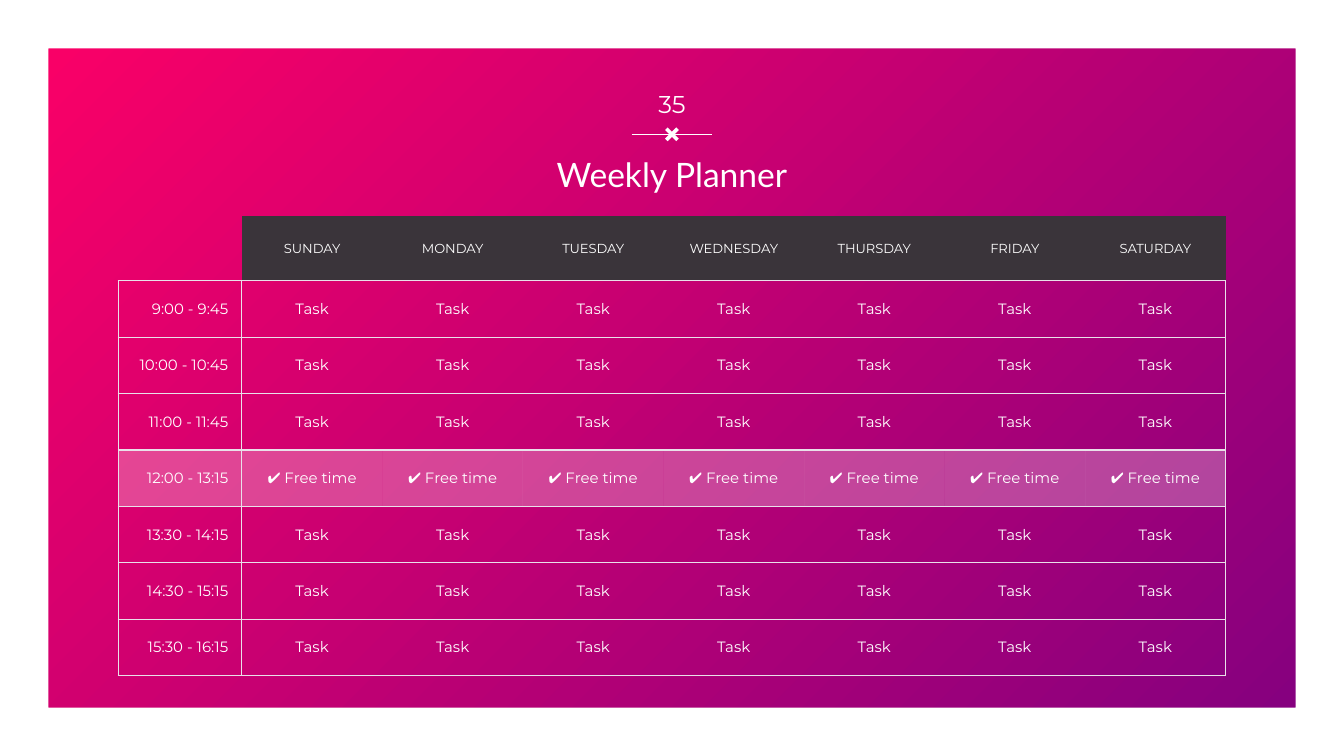
"""Build a weekly planner slide with a timetable on a gradient background."""
from dataclasses import dataclass

from lxml import etree
from pptx import Presentation
from pptx import util as u
from pptx.dml import color
from pptx.enum import shapes, text
from pptx.oxml import ns

WHITE, RULE, HEADER = "FFFFFF", "E9E0E9", "3A343A"
NO_STYLE = "{2D5ABB26-0587-4C30-8999-92F81FD0307C}"
DAYS = ["SUNDAY", "MONDAY", "TUESDAY", "WEDNESDAY", "THURSDAY", "FRIDAY", "SATURDAY"]
SLIDE_WIDTH = 10
SLIDE_HEIGHT = SLIDE_WIDTH * 9 / 16
TIME_WIDTH, DAYS_WIDTH = 0.92, 7.32
HEADER_HEIGHT, SLOT_HEIGHT = 0.48, 0.42


@dataclass
class Slot:
    hours: str
    activity: str = "Task"
    free: bool = False


@dataclass
class Ornament:
    preset: shapes.MSO_SHAPE
    box: tuple[float, float, float, float]
    adjustment: float


SLOTS = [
    Slot("9:00 - 9:45"),
    Slot("10:00 - 10:45"),
    Slot("11:00 - 11:45"),
    Slot("12:00 - 13:15", "✔ Free time", True),
    Slot("13:30 - 14:15"),
    Slot("14:30 - 15:15"),
    Slot("15:30 - 16:15"),
]
BORDER = Ornament(shapes.MSO_SHAPE.FRAME, (0, 0, SLIDE_WIDTH, SLIDE_HEIGHT),
                  0.36 / SLIDE_HEIGHT)
CROSS = Ornament(shapes.MSO_SHAPE.MATH_MULTIPLY, (4.92, 0.92, 0.16, 0.16), 0.17)


def rgb(value: str) -> color.RGBColor:
    return color.RGBColor.from_string(value)


def apply(target, formats: dict) -> None:
    for name, value in formats.items():
        setattr(target, name, value)


def anchor_text(target) -> None:
    sides = ("left", "right", "top", "bottom")
    apply(target, {f"margin_{side}": u.Inches(0.1) for side in sides})
    target.vertical_anchor = text.MSO_ANCHOR.MIDDLE


def write(frame, words: str, size: float, font: str = "Montserrat",
          align=text.PP_ALIGN.CENTER) -> None:
    paragraph = frame.paragraphs[0]
    paragraph.alignment = align
    run = paragraph.add_run()
    run.text = words
    apply(run.font, {"size": u.Pt(size), "name": font, "bold": False})
    run.font.color.rgb = rgb(WHITE)


def place_text(shape, box: tuple, words: str, size: float, font: str) -> None:
    apply(shape, dict(zip(("left", "top", "width", "height"), map(u.Inches, box))))
    apply(shape.text_frame, {"word_wrap": True, "auto_size": text.MSO_AUTO_SIZE.NONE})
    anchor_text(shape.text_frame)
    write(shape.text_frame, words, size, font)


def draw_ornament(slide, ornament: Ornament) -> None:
    shape = slide.shapes.add_shape(ornament.preset, *map(u.Inches, ornament.box))
    shape.adjustments[0] = ornament.adjustment
    shape.shadow.inherit = False
    shape.fill.solid()
    shape.fill.fore_color.rgb = rgb(WHITE)
    shape.line.fill.background()


def draw_divider(slide) -> None:
    divider = slide.shapes.add_connector(
        shapes.MSO_CONNECTOR.STRAIGHT, *map(u.Inches, (4.7, 1, 5.3, 1)))
    divider.line.color.rgb = rgb(WHITE)
    divider.line.width = u.Pt(0.75)
    etree.SubElement(divider._element.spPr, ns.qn("a:effectLst"))


def set_borders(cell, sides: str) -> None:
    properties = cell._tc.get_or_add_tcPr()
    for side in "LRTB":
        border = etree.SubElement(properties, ns.qn(f"a:ln{side}"), w=str(u.Pt(0.75)))
        if side in sides:
            fill = etree.SubElement(border, ns.qn("a:solidFill"))
            etree.SubElement(fill, ns.qn("a:srgbClr"), val=RULE)
        else:
            etree.SubElement(border, ns.qn("a:noFill"))


def format_cell(cell, sides: str, fill: str = "", opacity: int = 100) -> None:
    anchor_text(cell)
    set_borders(cell, sides)
    if not fill:
        cell.fill.background()
        return
    cell.fill.solid()
    cell.fill.fore_color.rgb = rgb(fill)
    if opacity < 100:
        tint = cell._tc.tcPr.find(ns.qn("a:solidFill"))[0]
        etree.SubElement(tint, ns.qn("a:alpha"), val=str(opacity * 1000))


def draw_planner(slide) -> None:
    planner = slide.shapes.add_table(
        len(SLOTS) + 1, len(DAYS) + 1, u.Inches(0.88), u.Inches(1.61),
        u.Inches(TIME_WIDTH + DAYS_WIDTH),
        u.Inches(HEADER_HEIGHT + SLOT_HEIGHT * len(SLOTS))).table
    apply(planner, {"first_row": False, "horz_banding": False})
    planner._tbl.tblPr.find(ns.qn("a:tableStyleId")).text = NO_STYLE
    widths = [TIME_WIDTH] + [DAYS_WIDTH / len(DAYS)] * len(DAYS)
    for column, width in zip(planner.columns, widths):
        column.width = u.Inches(width)
    heights = [HEADER_HEIGHT] + [SLOT_HEIGHT] * len(SLOTS)
    for row, height in zip(planner.rows, heights):
        row.height = u.Inches(height)

    corner = planner.cell(0, 0)
    format_cell(corner, "B")
    apply(corner, {"margin_top": 0, "margin_bottom": 0})
    for column, day in enumerate(DAYS, 1):
        heading = planner.cell(0, column)
        format_cell(heading, "B", HEADER)
        write(heading.text_frame, day, 7)

    for row, slot in enumerate(SLOTS, 1):
        fill, opacity = (WHITE, 27) if slot.free else ("", 100)
        hours = planner.cell(row, 0)
        format_cell(hours, "LRTB", fill, opacity)
        write(hours.text_frame, slot.hours, 8, align=text.PP_ALIGN.RIGHT)
        for column in range(1, len(DAYS) + 1):
            sides = "TB" + {1: "L", len(DAYS): "R"}.get(column, "")
            activity = planner.cell(row, column)
            format_cell(activity, sides, fill, opacity)
            write(activity.text_frame, slot.activity, 8)


def main() -> None:
    deck = Presentation()
    apply(deck, {"slide_width": u.Inches(SLIDE_WIDTH),
                 "slide_height": u.Inches(SLIDE_HEIGHT)})
    slide = deck.slides.add_slide(deck.slide_layouts[5])
    backdrop = slide.background.fill
    backdrop.gradient()
    backdrop.gradient_angle = 315
    for stop, shade in zip(backdrop.gradient_stops, ("FF0066", "800080")):
        stop.color.rgb = rgb(shade)

    draw_ornament(slide, BORDER)
    draw_divider(slide)
    draw_ornament(slide, CROSS)
    place_text(slide.shapes.title, (0.36, 1.08, 9.28, 0.43), "Weekly Planner", 18, "Lato")
    number_box = (4.7, 0.56, 0.6, 0.43)
    number = slide.shapes.add_textbox(*map(u.Inches, number_box))
    place_text(number, number_box, "35", 13, "Montserrat")
    draw_planner(slide)
    deck.save("out.pptx")


if __name__ == "__main__":
    main()
